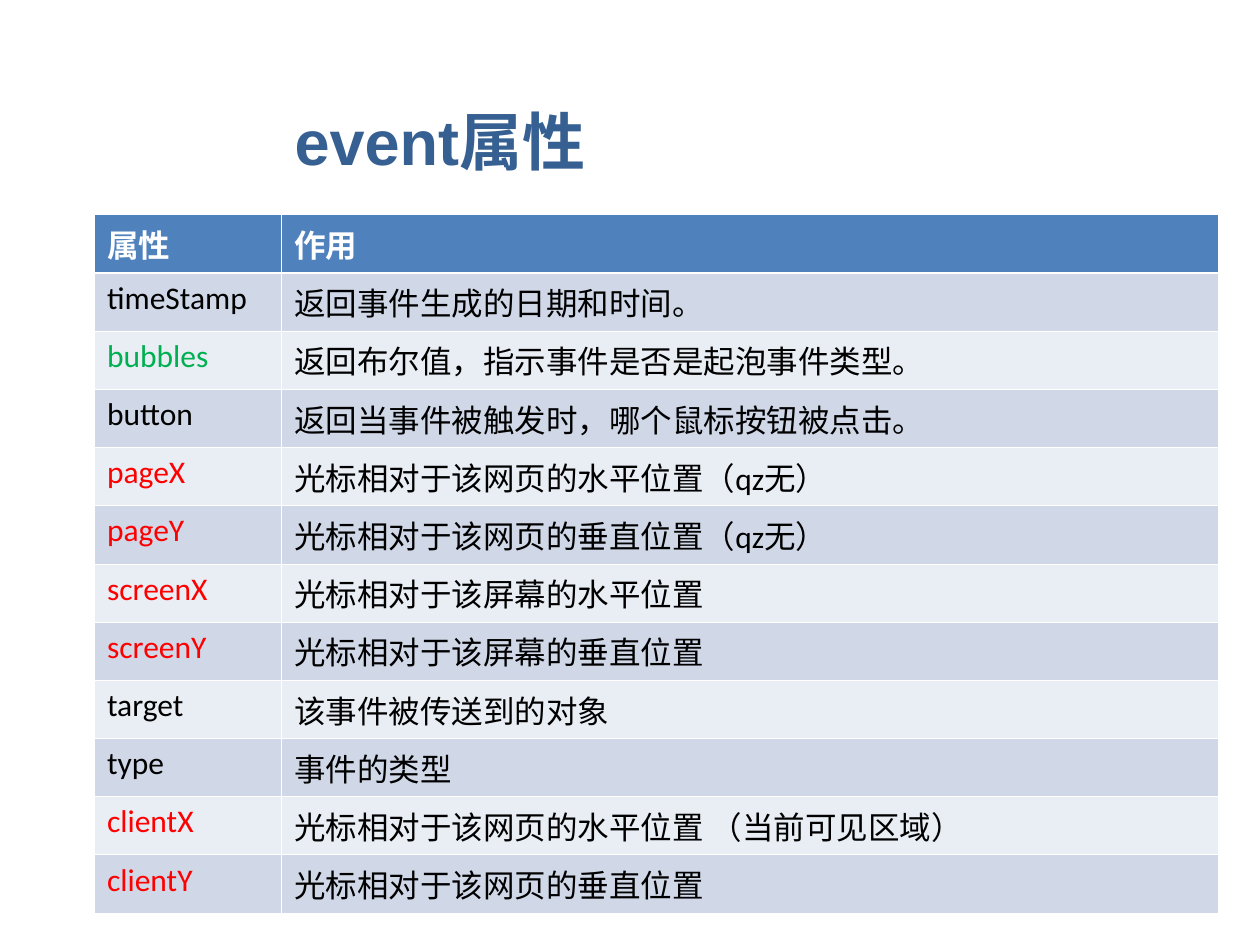
"""Build a slide with a table of event properties."""
from dataclasses import dataclass

from lxml.etree import SubElement
from pptx import Presentation
from pptx.dml.color import RGBColor as Rgb
from pptx.enum.text import MSO_ANCHOR as Anchor
from pptx.oxml.ns import qn
from pptx.slide import Slide
from pptx.table import _Cell as Cell
from pptx.util import Pt

COLORS = {
    "title": "376092",
    "header": "4F81BD",
    "odd": "D0D8E8",
    "even": "E9EDF4",
    "white": "FFFFFF",
    "black": "000000",
    "green": "00B050",
    "red": "FF0000",
}
COLUMN_WIDTHS = (107, 535.5)
ROW_HEIGHT = 33.27
THIN, THICK = 0.45, 1.47


@dataclass(frozen=True)
class Property:
    name: str
    purpose: str
    color: str = "black"


PROPERTIES = (
    Property("timeStamp", "返回事件生成的日期和时间。"),
    Property("bubbles", "返回布尔值，指示事件是否是起泡事件类型。", "green"),
    Property("button", "返回当事件被触发时，哪个鼠标按钮被点击。"),
    Property("pageX", "光标相对于该网页的水平位置（qz无）", "red"),
    Property("pageY", "光标相对于该网页的垂直位置（qz无）", "red"),
    Property("screenX", "光标相对于该屏幕的水平位置", "red"),
    Property("screenY", "光标相对于该屏幕的垂直位置", "red"),
    Property("target", "该事件被传送到的对象"),
    Property("type", "事件的类型"),
    Property("clientX", "光标相对于该网页的水平位置 （当前可见区域）", "red"),
    Property("clientY", "光标相对于该网页的垂直位置", "red"),
)


def add_title(page: Slide, text: str) -> None:
    box = page.shapes.add_textbox(Pt(161.3), Pt(49), Pt(447.8), Pt(62.6))
    frame = box.text_frame
    frame.word_wrap = True
    frame.vertical_anchor = Anchor.MIDDLE
    para = frame.paragraphs[0]
    para.text = text
    para.font.name, para.font.size, para.font.bold = "Arial", Pt(36), True
    para.font.color.rgb = Rgb.from_string(COLORS["title"])


def set_borders(cell: Cell, top: float, bottom: float) -> None:
    properties = cell._tc.get_or_add_tcPr()
    for side, width in (("L", THIN), ("R", THIN), ("T", top), ("B", bottom)):
        line = SubElement(properties, qn(f"a:ln{side}"), w=str(Pt(width)))
        fill = SubElement(line, qn("a:solidFill"))
        SubElement(fill, qn("a:srgbClr"), val=COLORS["white"])


def fill_cell(cell: Cell, text: str, color: str, row: int) -> None:
    is_header = row == 0
    set_borders(cell, THICK if row == 1 else THIN, THICK if is_header else THIN)
    band = "header" if is_header else "odd" if row % 2 else "even"
    cell.fill.solid()
    cell.fill.fore_color.rgb = Rgb.from_string(COLORS[band])
    para = cell.text_frame.paragraphs[0]
    para.text = text
    para.space_before = Pt(4.5)
    para.font.name, para.font.size, para.font.bold = "Calibri", Pt(18), is_header
    para.font.color.rgb = Rgb.from_string(COLORS[color])


def add_property_table(page: Slide, properties: tuple[Property, ...]) -> None:
    entries = (Property("属性", "作用", "white"), *properties)
    table = page.shapes.add_table(
        len(entries), len(COLUMN_WIDTHS), Pt(54), Pt(122.7),
        Pt(sum(COLUMN_WIDTHS)), Pt(ROW_HEIGHT * len(entries)),
    ).table
    for column, width in zip(table.columns, COLUMN_WIDTHS):
        column.width = Pt(width)
    for row, entry in enumerate(entries):
        table.rows[row].height = Pt(ROW_HEIGHT)
        purpose_color = "black" if row else "white"
        fill_cell(table.cell(row, 0), entry.name, entry.color, row)
        fill_cell(table.cell(row, 1), entry.purpose, purpose_color, row)


def main() -> None:
    deck = Presentation()
    deck.slide_width, deck.slide_height = Pt(720), Pt(540)
    page = deck.slides.add_slide(deck.slide_layouts[6])
    add_title(page, "event属性")
    add_property_table(page, PROPERTIES)
    deck.save("out.pptx")


if __name__ == "__main__":
    main()
